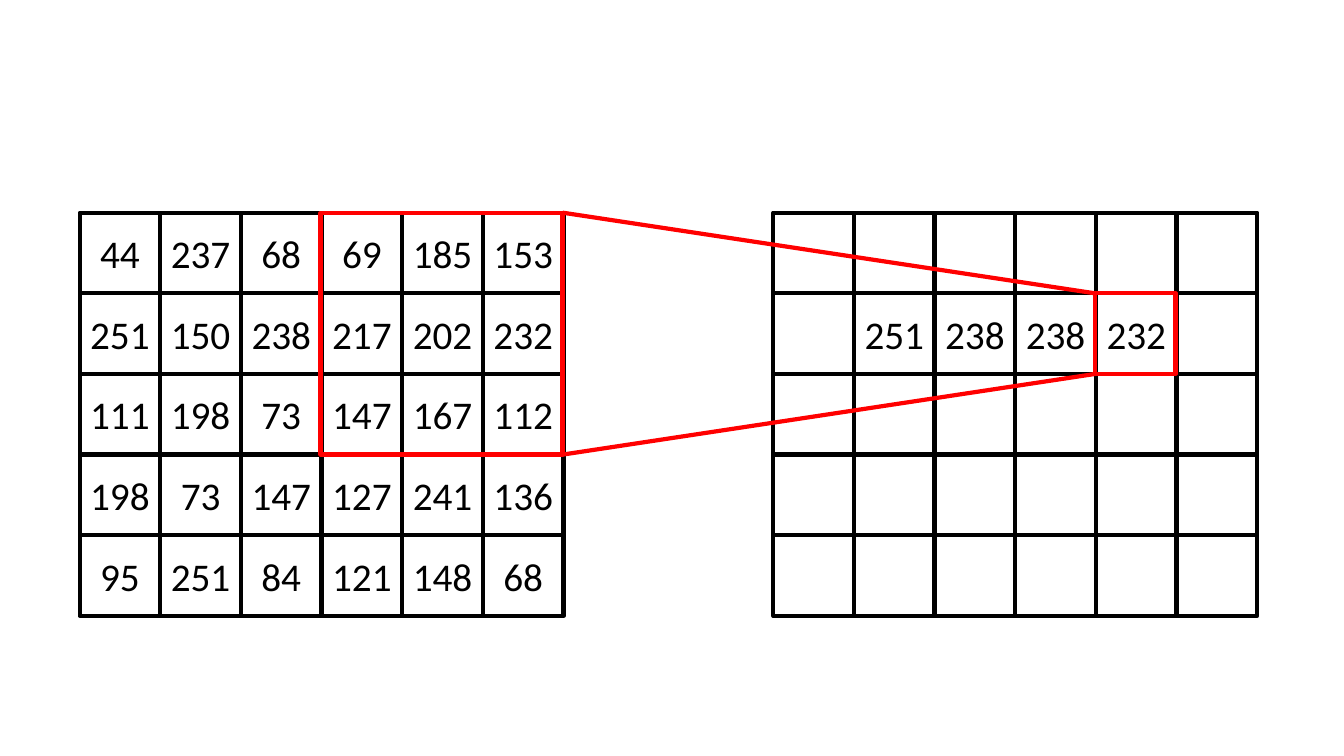
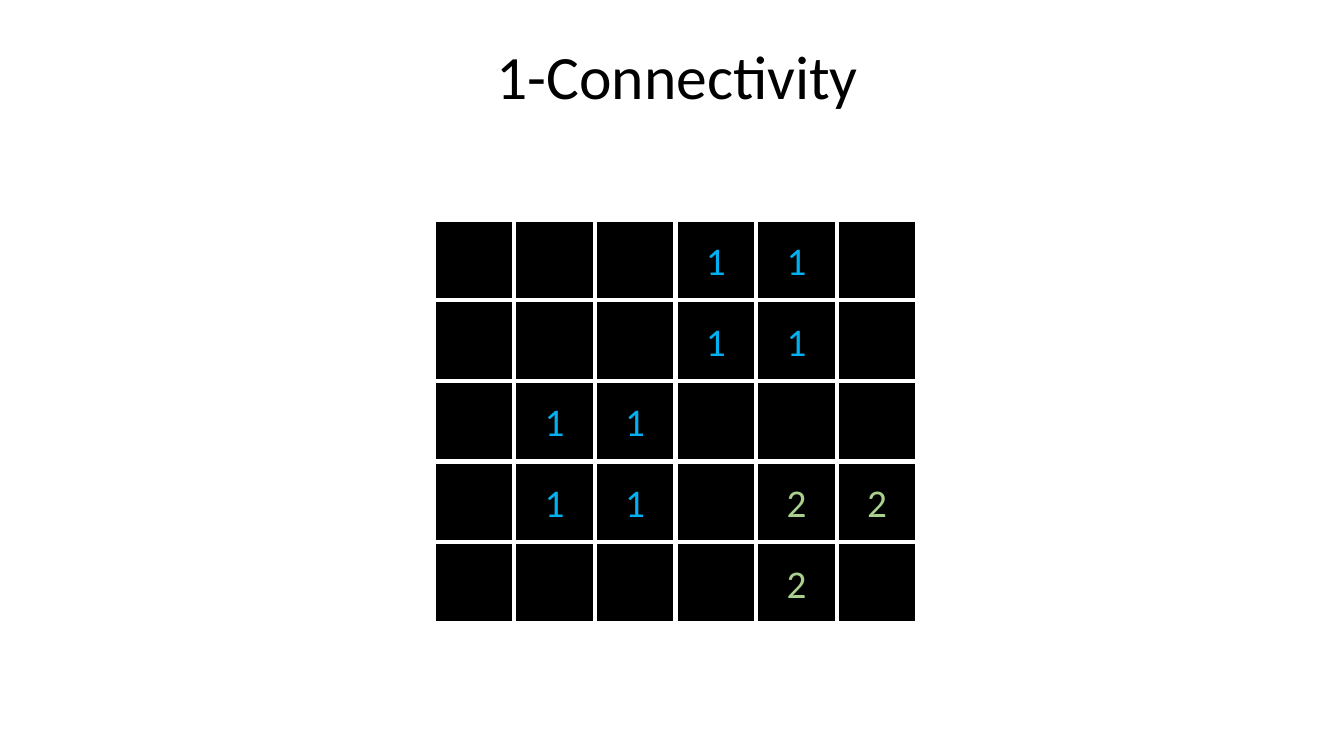
import pptx
import pptx.dml.color
import pptx.enum.shapes
import pptx.enum.text
import pptx.util
from lxml import etree
from pptx.util import Inches

FONT = "Calibri"
BLACK, WHITE, RED = "000000", "FFFFFF", "FF0000"
LABEL_COLORS = {"1": "00B0F0", "2": "A9D18E"}
CELL = 0.8
ROWS, COLUMNS = 5, 6
TITLE_ONLY, BLANK = 5, 6

PIXELS = [
    [44, 237, 68, 69, 185, 153],
    [251, 150, 238, 217, 202, 232],
    [111, 198, 73, 147, 167, 112],
    [198, 73, 147, 127, 241, 136],
    [95, 251, 84, 121, 148, 68],
]
FILTERED = {(1, 1): 251, (1, 2): 238, (1, 3): 238, (1, 4): 232}
LABELS = ["000110", "000110", "011000", "011022", "000020"]


def rgb(color):
    return pptx.dml.color.RGBColor.from_string(color)


def style_line(line, color):
    line.color.rgb = rgb(color)
    line.width = pptx.util.Pt(3)


def style_text(frame, text, size, color):
    frame.text = text
    frame.vertical_anchor = pptx.enum.text.MSO_ANCHOR.MIDDLE
    paragraph = frame.paragraphs[0]
    paragraph.alignment = pptx.enum.text.PP_ALIGN.CENTER
    paragraph.font.name = FONT
    paragraph.font.size = pptx.util.Pt(size)
    paragraph.font.color.rgb = rgb(color)
    return paragraph


def add_square(shapes, left, top, side, outline, fill=None):
    square = shapes.add_shape(
        pptx.enum.shapes.MSO_SHAPE.RECTANGLE,
        Inches(left), Inches(top), Inches(side), Inches(side))
    square.shadow.inherit = False
    if fill:
        square.fill.solid()
        square.fill.fore_color.rgb = rgb(fill)
    else:
        square.fill.background()
    style_line(square.line, outline)
    return square


def add_grid(slide, left, top, values, outline, fill=None, colors=None):
    cells = slide.shapes.add_group_shape().shapes
    for row in range(ROWS):
        for column in range(COLUMNS):
            cell = add_square(cells, left + column * CELL, top + row * CELL,
                              CELL, outline, fill)
            if (row, column) in values:
                text = str(values[row, column])
                color = colors[text] if colors else BLACK
                cell.text_frame.word_wrap = False
                style_text(cell.text_frame, text, 28, color)


def add_projection(slide, window_left, window_top, target_left, target_top):
    parts = slide.shapes.add_group_shape().shapes
    window = 3 * CELL
    add_square(parts, target_left, target_top, CELL, RED)
    add_square(parts, window_left, window_top, window, RED)
    for window_offset, target_offset in ((0, 0), (window, CELL)):
        ray = parts.add_connector(
            pptx.enum.shapes.MSO_CONNECTOR.STRAIGHT,
            Inches(window_left + window), Inches(window_top + window_offset),
            Inches(target_left), Inches(target_top + target_offset))
        style_line(ray.line, RED)
        etree.SubElement(ray._element.spPr, pptx.oxml.ns.qn("a:effectLst"))


def add_title(slide, text):
    title = slide.shapes.title
    title.left, title.top = Inches(0.97), Inches(0.06)
    title.width, title.height = Inches(11.5), Inches(1.45)
    style_text(title.text_frame, text, 44, BLACK).line_spacing = 0.9


def build_filter_slide(deck):
    slide = deck.slides.add_slide(deck.slide_layouts[BLANK])
    source_left, result_left, top = 0.79, 7.67, 2.11
    pixels = {(r, c): value for r, line in enumerate(PIXELS)
              for c, value in enumerate(line)}
    add_grid(slide, source_left, top, pixels, BLACK)
    add_grid(slide, result_left, top, FILTERED, BLACK)
    nudge = 0.01
    add_projection(slide, source_left + 3 * CELL - nudge, top,
                   result_left + 4 * CELL - nudge, top + CELL)


def build_connectivity_slide(deck):
    slide = deck.slides.add_slide(deck.slide_layouts[TITLE_ONLY])
    add_title(slide, "1-Connectivity")
    labels = {(r, c): label for r, line in enumerate(LABELS)
              for c, label in enumerate(line) if label != "0"}
    add_grid(slide, 4.3, 2.18, labels, WHITE, BLACK, LABEL_COLORS)


def main():
    deck = pptx.Presentation()
    deck.slide_width, deck.slide_height = Inches(13.33), Inches(7.5)
    build_filter_slide(deck)
    build_connectivity_slide(deck)
    deck.save("out.pptx")


if __name__ == "__main__":
    main()
